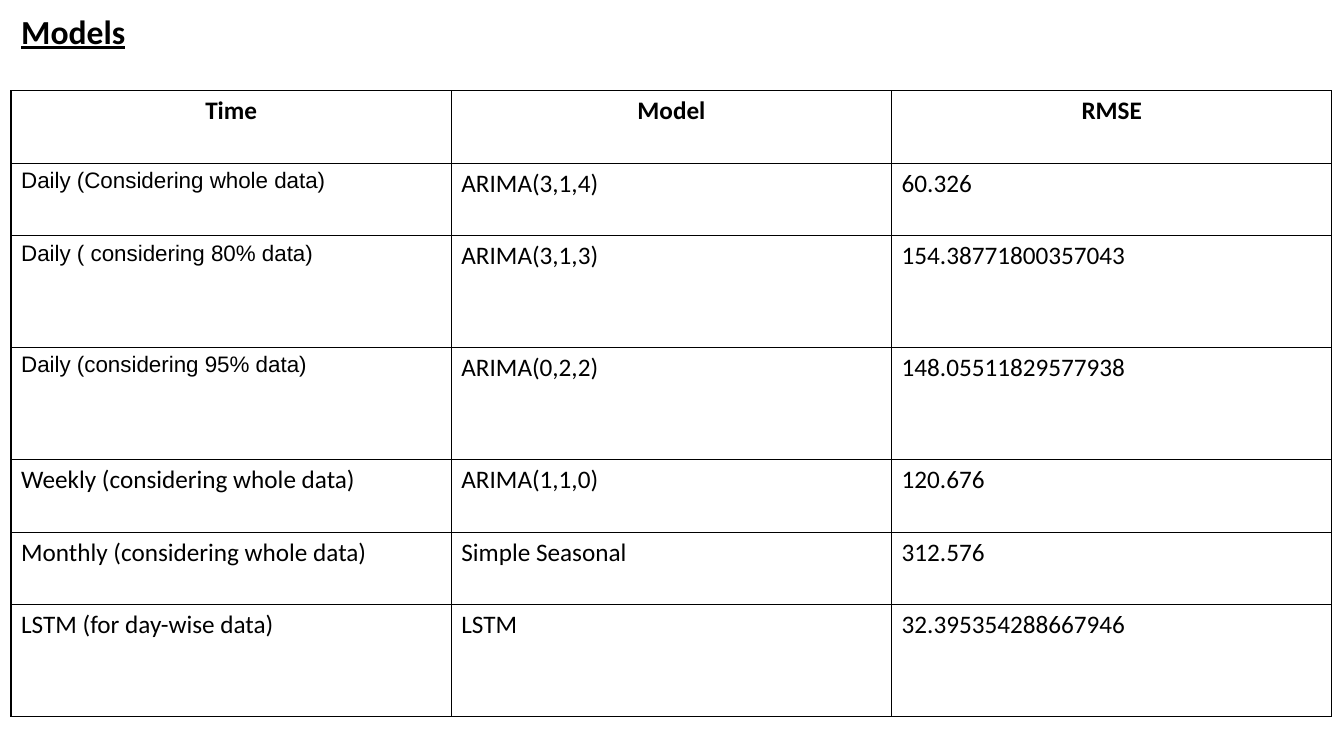
from lxml.etree import SubElement
from pptx import Presentation
from pptx.dml.color import RGBColor
from pptx.enum.text import MSO_ANCHOR as Anchor, PP_ALIGN as Align
from pptx.oxml.ns import qn
from pptx.util import Inches, Pt

COLORS = {"text": "000000", "border": "000000", "cell": "FFFFFF"}
HEADERS = ["Time", "Model", "RMSE"]
RESULTS = [
    ["Daily (Considering whole data)", "ARIMA(3,1,4)", "60.326"],
    ["Daily ( considering 80% data)", "ARIMA(3,1,3)", "154.38771800357043"],
    ["Daily (considering 95% data)", "ARIMA(0,2,2)", "148.05511829577938"],
    ["Weekly (considering whole data)", "ARIMA(1,1,0)", "120.676"],
    ["Monthly (considering whole data)", "Simple Seasonal", "312.576"],
    ["LSTM (for day-wise data)", "LSTM", "32.395354288667946"],
]
SHORT, TALL = 0.72, 1.11
ROW_HEIGHTS = [SHORT, SHORT, TALL, TALL, SHORT, SHORT, TALL]


def format_text(paragraph, size, font="Calibri", bold=False, underline=False):
    for run in paragraph.runs:
        run.font.name = font
        run.font.size = Pt(size)
        run.font.bold = bold
        run.font.underline = underline
        run.font.color.rgb = RGBColor.from_string(COLORS["text"])


def add_borders(cell):
    properties = cell._tc.get_or_add_tcPr()
    for side in ("lnL", "lnR", "lnT", "lnB"):
        line = SubElement(properties, qn(f"a:{side}"), w=str(Pt(1)))
        fill = SubElement(line, qn("a:solidFill"))
        SubElement(fill, qn("a:srgbClr"), val=COLORS["border"])


def add_title(slide, left, top, width, height):
    title = slide.shapes.title
    title.left, title.top = Inches(left), Inches(top)
    title.width, title.height = Inches(width), Inches(height)
    title.text_frame.text = "Models"
    title.text_frame.vertical_anchor = Anchor.MIDDLE
    paragraph = title.text_frame.paragraphs[0]
    paragraph.alignment = Align.LEFT
    paragraph.line_spacing = 0.9
    format_text(paragraph, 24, bold=True, underline=True)


def add_results_table(slide, left, top, width):
    rows = [HEADERS] + RESULTS
    table = slide.shapes.add_table(
        len(rows), len(HEADERS), Inches(left), Inches(top),
        Inches(width), Inches(sum(ROW_HEIGHTS))).table
    table.horz_banding = False
    for row, height in zip(table.rows, ROW_HEIGHTS):
        row.height = Inches(height)

    for row_index, texts in enumerate(rows):
        for column_index, text in enumerate(texts):
            cell = table.cell(row_index, column_index)
            add_borders(cell)
            cell.fill.solid()
            cell.fill.fore_color.rgb = RGBColor.from_string(COLORS["cell"])
            cell.text_frame.text = text
            paragraph = cell.text_frame.paragraphs[0]
            is_header = row_index == 0
            paragraph.alignment = Align.CENTER if is_header else Align.LEFT
            # The daily labels are set in a smaller Arial
            if text.startswith("Daily"):
                format_text(paragraph, 16, font="Arial")
            else:
                format_text(paragraph, 18, bold=is_header)


def main():
    presentation = Presentation()
    presentation.slide_width = Inches(13.33)
    presentation.slide_height = Inches(7.5)
    slide = presentation.slides.add_slide(presentation.slide_layouts[5])
    add_title(slide, 0.11, 0.14, 12.3, 0.38)
    add_results_table(slide, 0.11, 0.9, 13.1)
    presentation.save("out.pptx")


if __name__ == "__main__":
    main()
